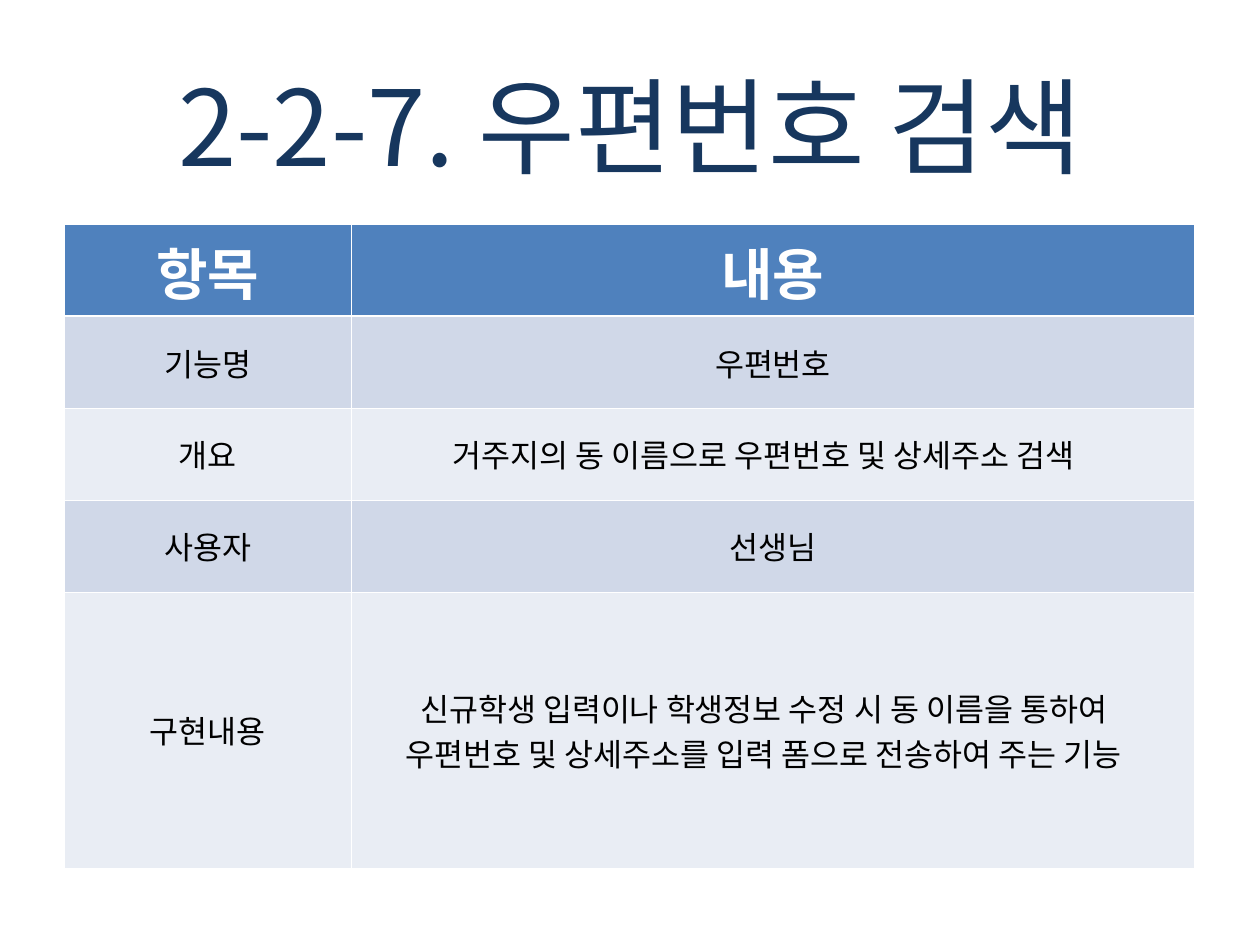
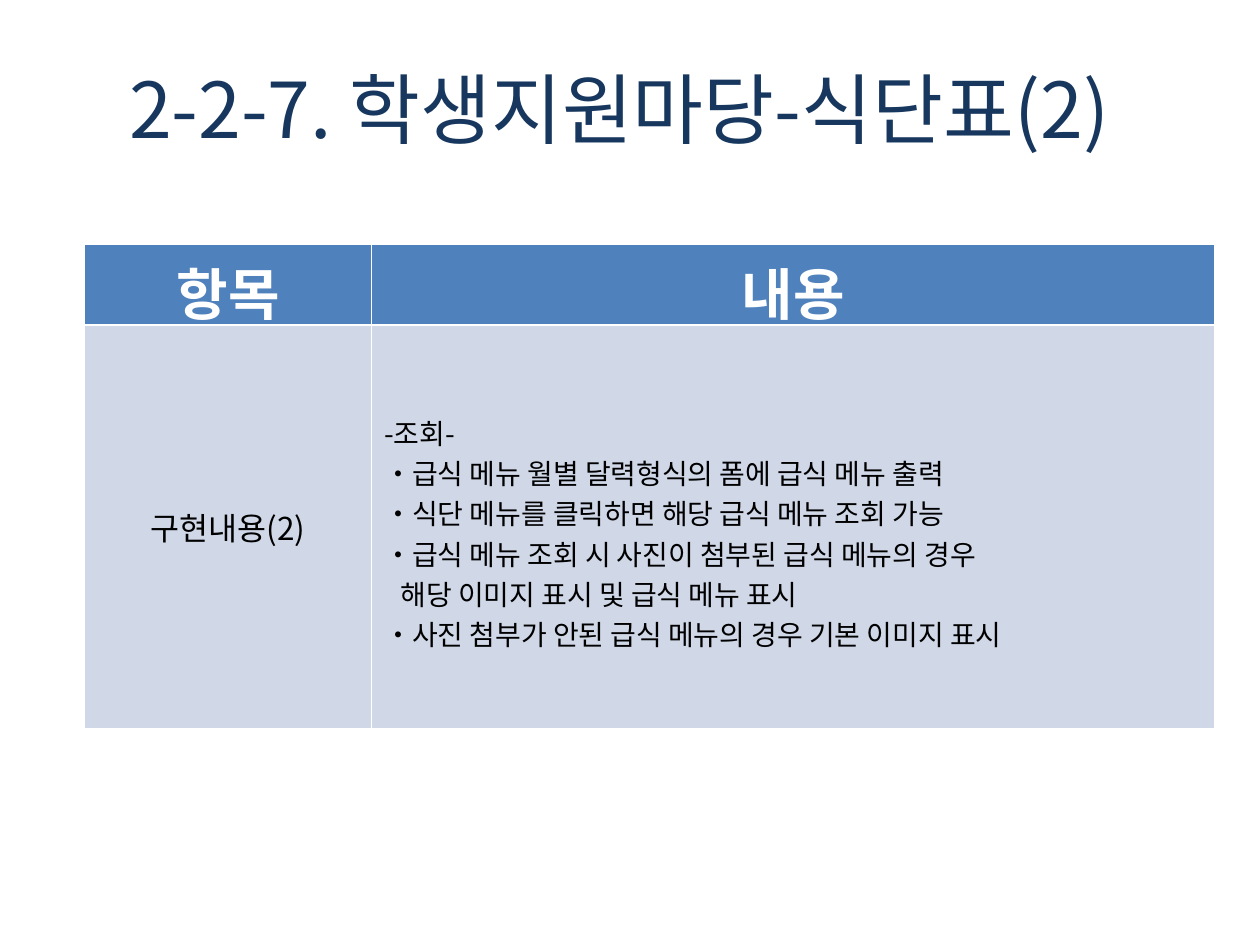
from dataclasses import dataclass

from lxml.etree import SubElement
from pptx import Presentation
from pptx.dml.color import RGBColor
from pptx.enum.text import MSO_ANCHOR as Anchor, MSO_AUTO_SIZE as AutoSize, PP_ALIGN as Align
from pptx.oxml.ns import qn
from pptx.util import Inches, Pt


@dataclass(frozen=True)
class Theme:
    font: str = "Noto Sans CJK KR"
    title: str = "17375E"
    header: str = "4F81BD"
    white: str = "FFFFFF"
    black: str = "000000"
    bands: tuple = ("D0D8E8", "E9EDF4")
    header_size: int = 32
    body_size: int = 18
    list_size: int = 16
    thin: float = 0.45
    thick: float = 1.47


class Page:
    columns = (2.28, 6.69)
    headings = ("항목", "내용")

    def __init__(self, deck, theme):
        self.theme = theme
        self.slide = deck.slides.add_slide(deck.slide_layouts[6])

    def add_text(self, para, text, size, color, bold=False, align=Align.CENTER):
        para.alignment = align
        for index, line in enumerate(text.split("\n")):
            if index:
                para.add_line_break()
            span = para.add_run()
            span.text = line
            style = {"name": self.theme.font, "size": Pt(size), "bold": bold}
            for name, value in style.items():
                setattr(span.font, name, value)
            span.font.color.rgb = RGBColor.from_string(color)
            SubElement(span.font._element, qn("a:ea"), typeface=self.theme.font)

    def title(self, text, size, height, right_inset=0.1):
        box = self.slide.shapes.add_textbox(Inches(0), Inches(0.44), Inches(10), Inches(height))
        frame = box.text_frame
        style = {"word_wrap": True, "auto_size": AutoSize.SHAPE_TO_FIT_TEXT,
                 "margin_right": Inches(right_inset)}
        for name, value in style.items():
            setattr(frame, name, value)
        self.add_text(frame.paragraphs[0], text, size, self.theme.title)

    def borders(self, cell, top, bottom):
        properties = cell._tc.get_or_add_tcPr()
        widths = {"L": self.theme.thin, "R": self.theme.thin, "T": top, "B": bottom}
        for position, (side, width) in enumerate(widths.items()):
            line = SubElement(properties, qn(f"a:ln{side}"), w=str(Pt(width)))
            fill = SubElement(line, qn("a:solidFill"))
            SubElement(fill, qn("a:srgbClr"), val=self.theme.white)
            properties.insert(position, line)

    def table(self, left, top, heights, rows):
        theme = self.theme
        frame = self.slide.shapes.add_table(
            len(heights), len(self.columns), Inches(left), Inches(top),
            Inches(sum(self.columns)), Inches(sum(heights)))
        grid = frame.table
        for column, width in zip(grid.columns, self.columns):
            column.width = Inches(width)
        for index, (height, texts) in enumerate(zip(heights, [self.headings, *rows])):
            grid.rows[index].height = Inches(height)
            is_header = index == 0
            fill = theme.header if is_header else theme.bands[(index - 1) % 2]
            size = theme.header_size if is_header else theme.body_size
            color = theme.white if is_header else theme.black
            for cell, text in zip(grid.rows[index].cells, texts):
                cell.vertical_anchor = Anchor.MIDDLE
                cell.fill.solid()
                cell.fill.fore_color.rgb = RGBColor.from_string(fill)
                self.borders(cell, theme.thick if index == 1 else theme.thin,
                             theme.thick if is_header else theme.thin)
                self.add_text(cell.text_frame.paragraphs[0], text, size, color, is_header)
        return grid

    def list_cell(self, cell, lines, top_inset):
        cell.vertical_anchor = Anchor.TOP
        cell.margin_top = Inches(top_inset)
        frame = cell.text_frame
        frame.clear()
        for index, (text, indent) in enumerate(lines):
            para = frame.add_paragraph() if index else frame.paragraphs[0]
            para._p.get_or_add_pPr().set("marL", str(Inches(indent)))
            self.add_text(para, text, self.theme.list_size, self.theme.black, align=Align.LEFT)


def postcode_page(deck, theme):
    page = Page(deck, theme)
    page.title("2-2-7. 우편번호 검색", 60, 1.1)
    rows = [
        ("기능명", "우편번호"),
        ("개요", "거주지의 동 이름으로 우편번호 및 상세주소 검색"),
        ("사용자", "선생님"),
        ("구현내용", "신규학생 입력이나 학생정보 수정 시 동 이름을 통하여\n"
                 "우편번호 및 상세주소를 입력 폼으로 전송하여 주는 기능"),
    ]
    grid = page.table(0.51, 1.78, [0.73] * 4 + [2.19], rows)
    for row in (2, 4):
        grid.cell(row, 1).margin_right = Inches(0.25)


def menu_page(deck, theme):
    page = Page(deck, theme)
    page.title("2-2-7. 학생지원마당-식단표(2)", 44, 0.84, right_inset=0.27)
    grid = page.table(0.67, 1.94, [0.64, 3.2], [("구현내용(2)", "")])
    lines = [
        ("-조회-", 0),
        ("・급식 메뉴 월별 달력형식의 폼에 급식 메뉴 출력", 0),
        ("・식단 메뉴를 클릭하면 해당 급식 메뉴 조회 가능", 0),
        ("・급식 메뉴 조회 시 사진이 첨부된 급식 메뉴의 경우", 0),
        ("해당 이미지 표시 및 급식 메뉴 표시", 0.13),
        ("・사진 첨부가 안된 급식 메뉴의 경우 기본 이미지 표시", 0),
    ]
    page.list_cell(grid.cell(1, 1), lines, 0.69)


def main():
    deck = Presentation()
    deck.slide_width, deck.slide_height = Inches(10), Inches(7.5)
    theme = Theme()
    postcode_page(deck, theme)
    menu_page(deck, theme)
    deck.save("out.pptx")


if __name__ == "__main__":
    main()
